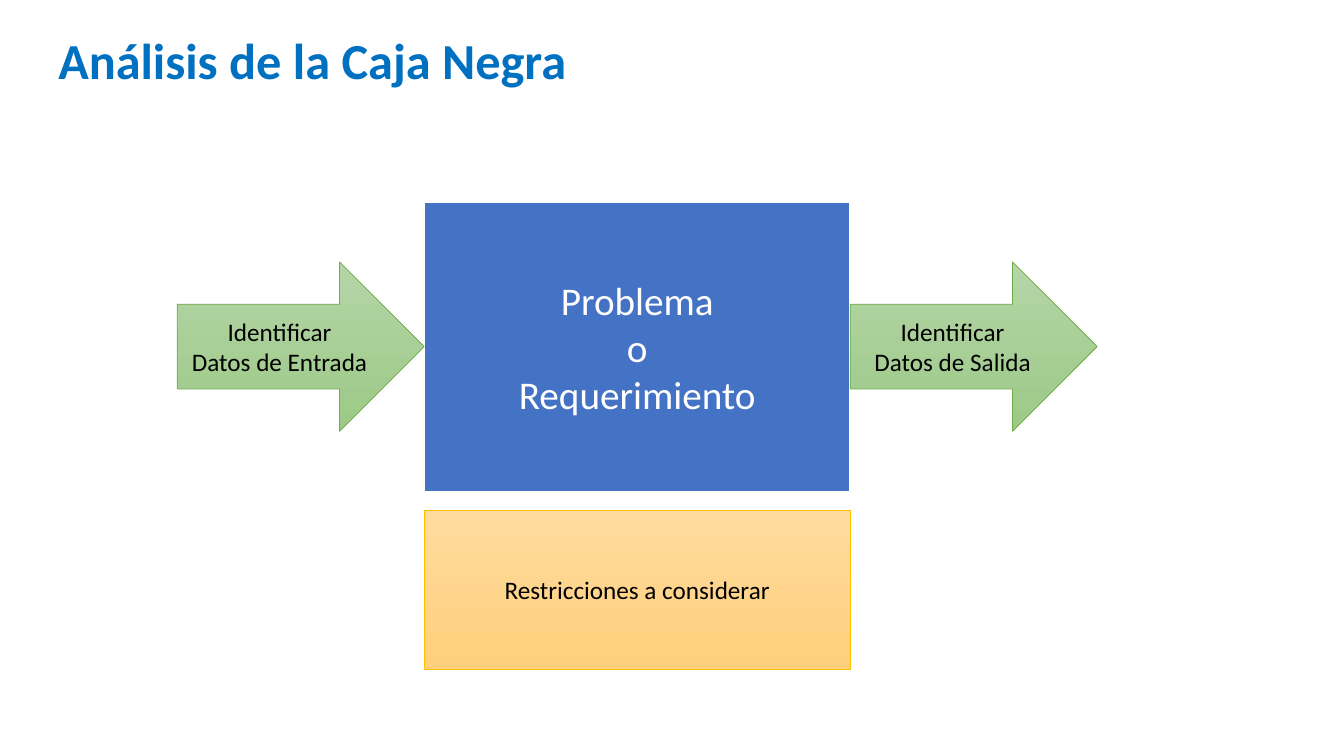
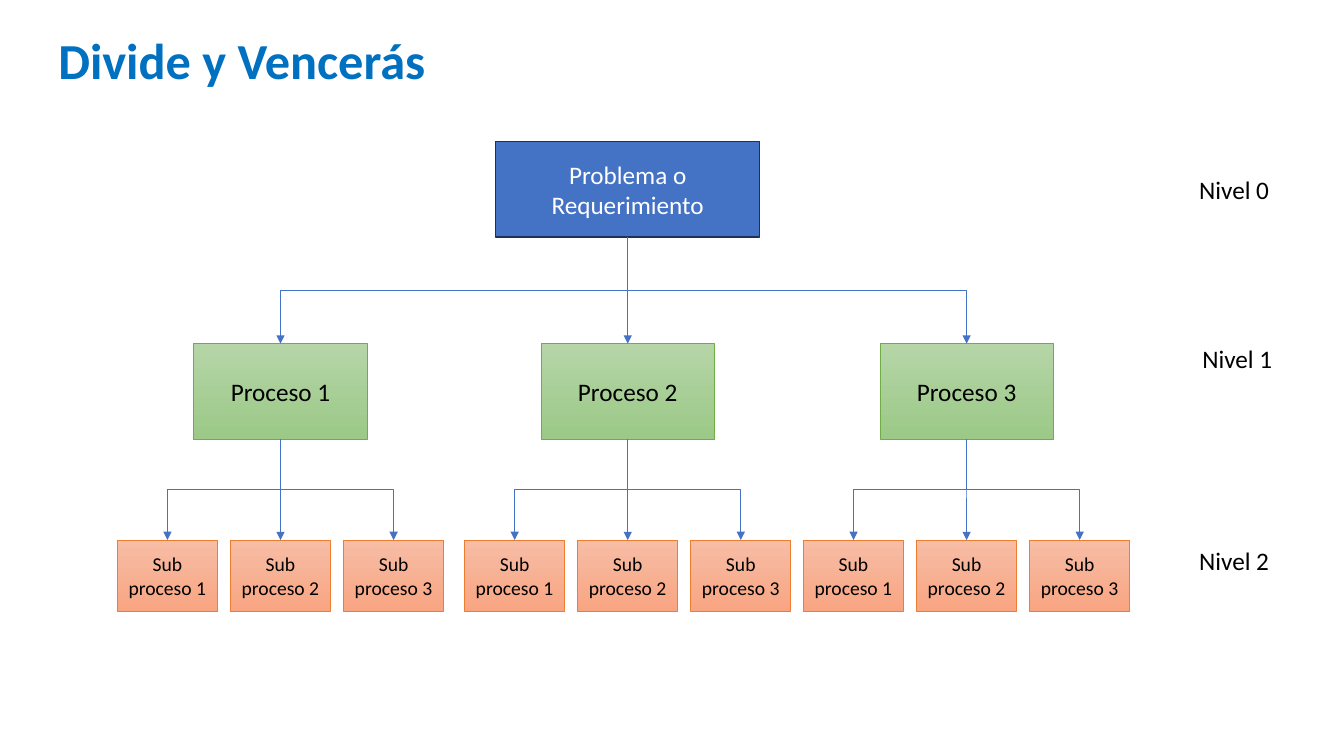
import pptx
import pptx.util
import pptx.dml.color
import pptx.enum.shapes
import pptx.enum.text
import pptx.oxml.ns
import lxml.etree

Cm = pptx.util.Cm
Pt = pptx.util.Pt
SHAPES = pptx.enum.shapes.MSO_SHAPE
CONNECTORS = pptx.enum.shapes.MSO_CONNECTOR
qn = pptx.oxml.ns.qn

# Shared look
FONT = "Calibri"
BLUE, TITLE_BLUE, WHITE, BLACK = "4472C4", "0070C0", "FFFFFF", "000000"
# Each style: fill (one colour, or top and bottom of a gradient), line, line width, text
PROBLEM = ([BLUE], WHITE, 1.5, WHITE)
ROOT = ([BLUE], "1E3256", 1, WHITE)
GREEN = (["B5D5A7", "9CC987"], "70AD47", 0.5, BLACK)
YELLOW = (["FFDB9E", "FFD07C"], "FFC000", 0.5, BLACK)
ORANGE = (["F7BDA5", "F8A582"], "ED7D31", 0.5, BLACK)


def rgb(value):
    return pptx.dml.color.RGBColor.from_string(value)


def set_text(shape, text, size, color, bold=False, align=None):
    shape.text_frame.text = text
    for paragraph in shape.text_frame.paragraphs:
        paragraph.alignment = align
        for run in paragraph.runs:
            run.font.name = FONT
            run.font.size = Pt(size)
            run.font.bold = bold
            run.font.color.rgb = rgb(color)


def add_label(slide, left, top, width, height, text, size=18, color=BLACK,
              bold=False, wrap=False):
    label = slide.shapes.add_textbox(Cm(left), Cm(top), Cm(width), Cm(height))
    label.text_frame.word_wrap = wrap
    set_text(label, text, size, color, bold)


def add_block(slide, left, top, width, height, text, style, size=18,
              kind=SHAPES.RECTANGLE):
    fill_colors, line_color, line_width, text_color = style
    block = slide.shapes.add_shape(kind, Cm(left), Cm(top), Cm(width), Cm(height))
    block.shadow.inherit = False
    if len(fill_colors) == 1:
        block.fill.solid()
        block.fill.fore_color.rgb = rgb(fill_colors[0])
    else:
        block.fill.gradient()
        block.fill.gradient_angle = 270
        for stop, color in zip(block.fill.gradient_stops, fill_colors):
            stop.color.rgb = rgb(color)
    block.line.color.rgb = rgb(line_color)
    block.line.width = Pt(line_width)
    block.text_frame.word_wrap = True
    block.text_frame.vertical_anchor = pptx.enum.text.MSO_ANCHOR.MIDDLE
    set_text(block, text, size, text_color, align=pptx.enum.text.PP_ALIGN.CENTER)
    return block


def add_branch(slide, parent, child):
    """Arrow from the bottom of the parent to the top of the child."""
    start_x, start_y = parent.left + parent.width // 2, parent.top + parent.height
    end_x, end_y = child.left + child.width // 2, child.top
    drop, shift = end_y - start_y, abs(end_x - start_x)
    bent = shift > Cm(0.1)
    kind = CONNECTORS.ELBOW if bent else CONNECTORS.STRAIGHT
    branch = slide.shapes.add_connector(kind, start_x, start_y, end_x, end_y)
    branch.begin_connect(parent, 2)
    branch.end_connect(child, 0)
    properties = branch.element.spPr
    if bent:
        # An elbow leaves sideways, so turn it to leave downwards
        branch.left = (start_x + end_x - drop) // 2
        branch.top = (start_y + end_y - shift) // 2
        branch.width, branch.height = drop, shift
        to_right = end_x > start_x
        frame = properties.find(qn("a:xfrm"))
        frame.set("rot", str((270 if to_right else 90) * 60000))
        frame.set("flipH", "1" if to_right else "0")
        frame.set("flipV", "0")
    branch.line.color.rgb = rgb(BLUE)
    branch.line.width = Pt(0.5)
    line = properties.find(qn("a:ln"))
    lxml.etree.SubElement(line, qn("a:tailEnd"), type="triangle")
    lxml.etree.SubElement(properties, qn("a:effectLst"))


def add_titled_slide(presentation, title):
    slide = presentation.slides.add_slide(presentation.slide_layouts[6])
    add_label(slide, 1.22, 0.6, 20.6, 1.8, title, 36, TITLE_BLUE, bold=True, wrap=True)
    return slide


def build_black_box(presentation):
    slide = add_titled_slide(presentation, "Análisis de la Caja Negra")
    box_left, box_width, arrow_width = 10.69, 10.74, 6.22
    add_block(slide, box_left, 5.08, box_width, 7.32,
              "Problema\no\nRequerimiento", PROBLEM, 28)
    # Input and output arrows touch the sides of the box
    for left, data in ((box_left - arrow_width, "Entrada"),
                       (box_left + box_width, "Salida")):
        add_block(slide, left, 6.6, arrow_width, 4.27,
                  f"Identificar\nDatos de {data}", GREEN, kind=SHAPES.RIGHT_ARROW)
    add_block(slide, box_left, 12.85, box_width, 4.01,
              "Restricciones a considerar", YELLOW)


def build_divide(presentation):
    slide = add_titled_slide(presentation, "Divide y Vencerás")
    root_width, process_width, sub_width, sub_pitch = 6.65, 4.37, 2.52, 2.85
    process_centers = (7.07, 15.82, 24.36)

    # Tree of processes and subprocesses
    root = add_block(slide, process_centers[1] - root_width / 2, 3.56, root_width, 2.41,
                     "Problema o Requerimiento", ROOT)
    for number, center in enumerate(process_centers, 1):
        process = add_block(slide, center - process_width / 2, 8.66, process_width, 2.41,
                            f"Proceso {number}", GREEN)
        add_branch(slide, root, process)
        for sub_number in (1, 2, 3):
            sub_center = center + (sub_number - 2) * sub_pitch
            sub = add_block(slide, sub_center - sub_width / 2, 13.61, sub_width, 1.8,
                            f"Sub\nproceso {sub_number}", ORANGE, 14)
            add_branch(slide, process, sub)

    # Level names
    for level, (left, top) in enumerate(((29.97, 4.27), (30.05, 8.53), (29.97, 13.61))):
        add_label(slide, left, top, 2.29, 1.02, f"Nivel {level}")


def main():
    presentation = pptx.Presentation()
    presentation.slide_width = Cm(33.87)
    presentation.slide_height = Cm(19.05)
    build_black_box(presentation)
    build_divide(presentation)
    presentation.save("out.pptx")


if __name__ == "__main__":
    main()
